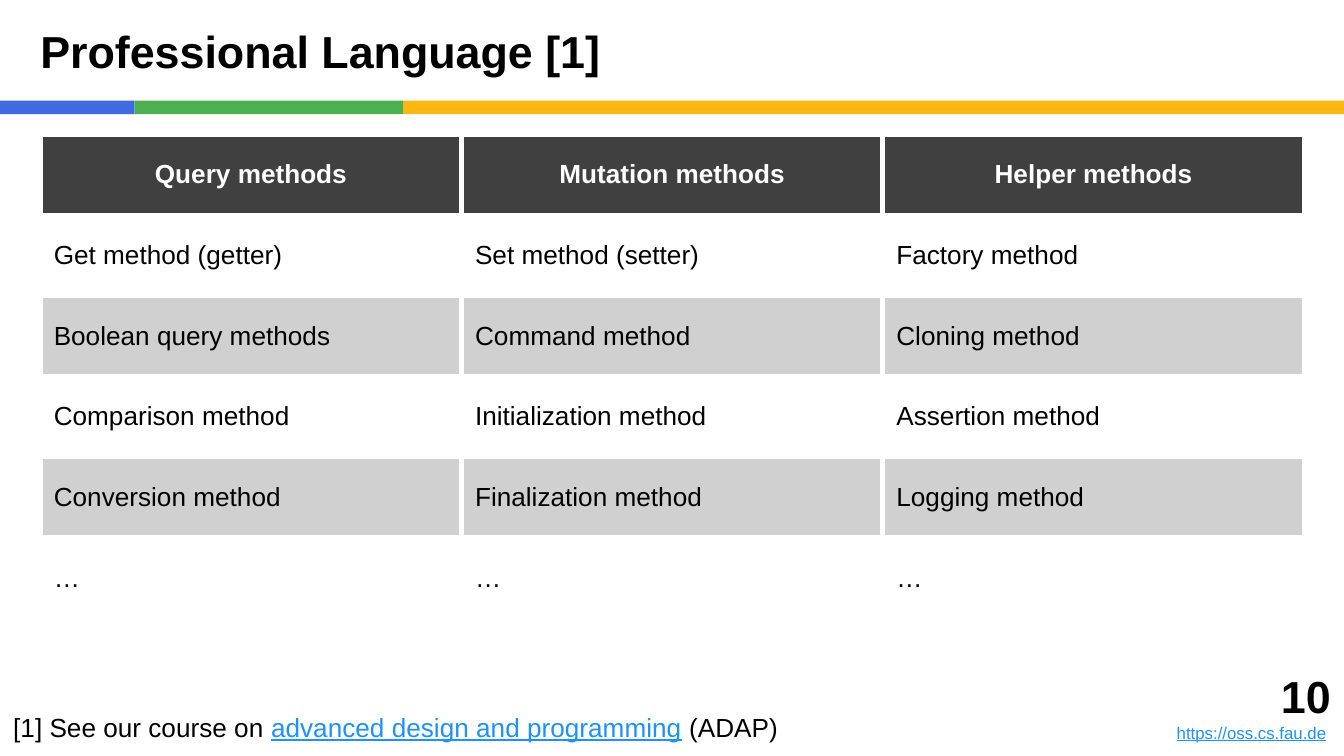
from dataclasses import dataclass

from lxml import etree
from pptx import Presentation
from pptx.dml.color import RGBColor
from pptx.enum.shapes import MSO_SHAPE
from pptx.enum.text import MSO_ANCHOR, PP_ALIGN
from pptx.oxml.ns import qn
from pptx.util import Emu, Pt

EMU_PER_PX = 4572  # 200 px to the inch
SLIDE_WIDTH, SLIDE_HEIGHT = 2000, 1125
MARGIN, INSET = 60, 20
COLUMN_WIDTH, ROW_HEIGHT, TABLE_TOP = 627, 120, 200
BORDER_WIDTH = Pt(3)
FONT = "Arial"

RECTANGLE = MSO_SHAPE.RECTANGLE
MIDDLE, BOTTOM = MSO_ANCHOR.MIDDLE, MSO_ANCHOR.BOTTOM
LEFT, CENTER, RIGHT = PP_ALIGN.LEFT, PP_ALIGN.CENTER, PP_ALIGN.RIGHT

COLORS = {
    "text": "000000",
    "white": "FFFFFF",
    "link": "1E90FF",
    "header": "404040",
    "band": "D0D0D0",
    "blue": "4169E1",
    "green": "4CAF50",
    "yellow": "FEB612",
}


@dataclass(frozen=True)
class Stripe:
    left: int
    width: int
    color: str


@dataclass(frozen=True)
class TextRun:
    text: str
    size: int
    color: str = "text"
    bold: bool = False
    underline: bool = False


@dataclass(frozen=True)
class TextBlock:
    left: int
    top: int
    width: int
    height: int
    paragraphs: tuple[tuple[TextRun, ...], ...]
    anchor: MSO_ANCHOR = BOTTOM
    alignment: PP_ALIGN = LEFT
    insets: tuple[int, int, int, int] = (INSET, INSET, INSET, INSET)


STRIPES = (
    Stripe(0, 200, "blue"),
    Stripe(200, 400, "green"),
    Stripe(600, 1400, "yellow"),
)

TITLE = TextBlock(
    0, 0, SLIDE_WIDTH, 150,
    ((TextRun("Professional Language [1]", 24, bold=True),),),
    anchor=MIDDLE, insets=(MARGIN, 0, 0, 0),
)
PAGE_NUMBER = TextBlock(
    1600, 965, 400, 160,
    (
        (TextRun("10", 24, bold=True),),
        (TextRun("https://oss.cs.fau.de", 9, "link", underline=True), TextRun(" ", 9)),
    ),
    alignment=RIGHT,
)
FOOTNOTE = TextBlock(
    0, 925, 1600, 200,
    ((
        TextRun("[1] See our course on ", 14),
        TextRun("advanced design and programming", 14, "link", underline=True),
        TextRun(" (ADAP)", 14),
    ),),
)

METHOD_ROWS = (
    ("Query methods", "Mutation methods", "Helper methods"),
    ("Get method (getter)", "Set method (setter)", "Factory method"),
    ("Boolean query methods", "Command method", "Cloning method"),
    ("Comparison method", "Initialization method", "Assertion method"),
    ("Conversion method", "Finalization method", "Logging method"),
    ("…", "…", "…"),
)


def px(length: int) -> Emu:
    return Emu(length * EMU_PER_PX)


def rgb(name: str) -> RGBColor:
    return RGBColor.from_string(COLORS[name])


def add_run(paragraph, text_run: TextRun) -> None:
    run = paragraph.add_run()
    run.text = text_run.text
    font = run.font
    font.name = FONT
    font.size = Pt(text_run.size)
    font.bold = text_run.bold
    font.underline = text_run.underline
    font.color.rgb = rgb(text_run.color)


def set_margins(target, insets: tuple[int, int, int, int]) -> None:
    """Set left, top, right and bottom margins of a text frame or cell."""
    sides = ("left", "top", "right", "bottom")
    for side, inset in zip(sides, insets):
        setattr(target, f"margin_{side}", px(inset))


def add_stripe(slide, stripe: Stripe) -> None:
    shape = slide.shapes.add_shape(
        RECTANGLE, px(stripe.left), px(150), px(stripe.width), px(20)
    )
    shape.shadow.inherit = False
    shape.fill.solid()
    shape.fill.fore_color.rgb = rgb(stripe.color)
    shape.line.fill.background()


def add_text_block(slide, block: TextBlock) -> None:
    box = slide.shapes.add_textbox(
        px(block.left), px(block.top), px(block.width), px(block.height)
    )
    frame = box.text_frame
    frame.word_wrap = True
    frame.vertical_anchor = block.anchor
    set_margins(frame, block.insets)
    for index, runs in enumerate(block.paragraphs):
        paragraph = frame.add_paragraph() if index else frame.paragraphs[0]
        paragraph.alignment = block.alignment
        for text_run in runs:
            add_run(paragraph, text_run)


def add_cell_borders(cell) -> None:
    properties = cell._tc.get_or_add_tcPr()
    for side in ("lnL", "lnR", "lnT", "lnB"):
        line = etree.SubElement(properties, qn(f"a:{side}"), w=str(BORDER_WIDTH))
        fill = etree.SubElement(line, qn("a:solidFill"))
        etree.SubElement(fill, qn("a:srgbClr"), val=COLORS["white"])


def fill_cell(cell, text: str, row_index: int) -> None:
    is_header = row_index == 0
    cell.vertical_anchor = MIDDLE
    set_margins(cell, (INSET, INSET, INSET, INSET))
    add_cell_borders(cell)
    if row_index % 2:
        cell.fill.background()
    else:
        cell.fill.solid()
        cell.fill.fore_color.rgb = rgb("header" if is_header else "band")
    paragraph = cell.text_frame.paragraphs[0]
    paragraph.alignment = CENTER if is_header else LEFT
    color = "white" if is_header else "text"
    add_run(paragraph, TextRun(text, 14, color, bold=is_header))


def add_method_table(slide) -> None:
    row_count, column_count = len(METHOD_ROWS), len(METHOD_ROWS[0])
    table = slide.shapes.add_table(
        row_count, column_count, px(MARGIN), px(TABLE_TOP),
        px(column_count * COLUMN_WIDTH), px(row_count * ROW_HEIGHT),
    ).table
    for row_index, texts in enumerate(METHOD_ROWS):
        for column_index, text in enumerate(texts):
            fill_cell(table.cell(row_index, column_index), text, row_index)


def main() -> None:
    presentation = Presentation()
    presentation.slide_width = px(SLIDE_WIDTH)
    presentation.slide_height = px(SLIDE_HEIGHT)
    slide = presentation.slides.add_slide(presentation.slide_layouts[6])
    for stripe in STRIPES:
        add_stripe(slide, stripe)
    add_text_block(slide, TITLE)
    add_text_block(slide, PAGE_NUMBER)
    add_method_table(slide)
    add_text_block(slide, FOOTNOTE)
    presentation.save("out.pptx")


if __name__ == "__main__":
    main()
